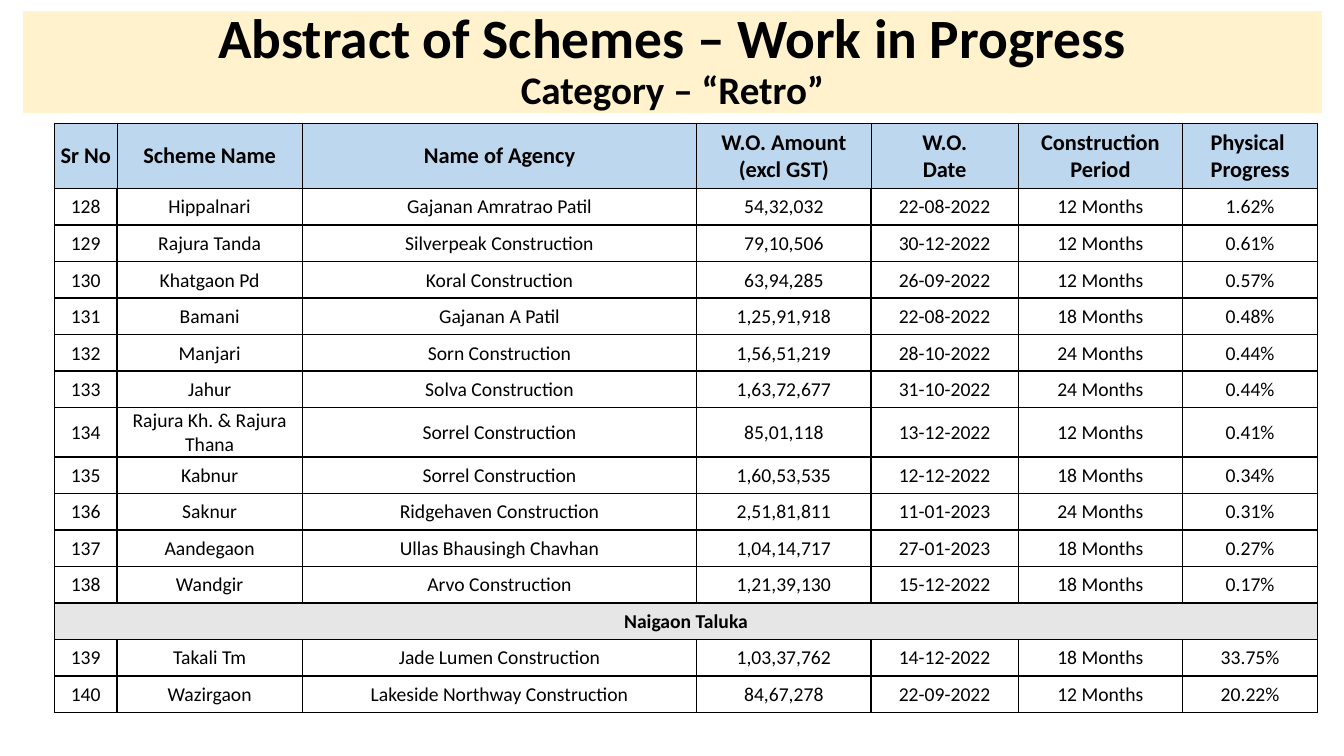
from pptx import Presentation
from pptx.dml.color import RGBColor
from pptx.enum.text import MSO_ANCHOR, MSO_AUTO_SIZE, PP_ALIGN
from pptx.oxml import parse_xml
from pptx.oxml.ns import nsdecls
from pptx.util import Inches, Pt

MIDDLE, CENTER = MSO_ANCHOR.MIDDLE, PP_ALIGN.CENTER
FONT = "Calibri"
LEFT, HEAD_TOP, HEAD_H = 0.54, 1.22, 0.65
BODY_H, TALL_H = 5.2, 0.49
WIDTHS = [0.62, 1.84, 3.91, 1.73, 1.46, 1.63, 1.34]

HEAD = ["Sr No", "Scheme Name", "Name of Agency", "W.O. Amount\v(excl GST)",
        "W.O.\vDate", "Construction\vPeriod", "Physical \nProgress"]
TALL = "Rajura Kh. & Rajura Thana"
TALUKA = "Naigaon Taluka"
SCHEMES = [
    ["128", "Hippalnari", "Gajanan Amratrao Patil", "54,32,032", "22-08-2022", "12 Months", "1.62%"],
    ["129", "Rajura Tanda", "Silverpeak Construction", "79,10,506", "30-12-2022", "12 Months", "0.61%"],
    ["130", "Khatgaon Pd", "Koral Construction", "63,94,285", "26-09-2022", "12 Months", "0.57%"],
    ["131", "Bamani", "Gajanan A Patil", "1,25,91,918", "22-08-2022", "18 Months", "0.48%"],
    ["132", "Manjari", "Sorn Construction", "1,56,51,219", "28-10-2022", "24 Months", "0.44%"],
    ["133", "Jahur", "Solva Construction", "1,63,72,677", "31-10-2022", "24 Months", "0.44%"],
    ["134", TALL, "Sorrel Construction", "85,01,118", "13-12-2022", "12 Months", "0.41%"],
    ["135", "Kabnur", "Sorrel Construction", "1,60,53,535", "12-12-2022", "18 Months", "0.34%"],
    ["136", "Saknur", "Ridgehaven Construction", "2,51,81,811", "11-01-2023", "24 Months", "0.31%"],
    ["137", "Aandegaon", "Ullas Bhausingh Chavhan", "1,04,14,717", "27-01-2023", "18 Months", "0.27%"],
    ["138", "Wandgir", "Arvo Construction", "1,21,39,130", "15-12-2022", "18 Months", "0.17%"],
    [TALUKA],
    ["139", "Takali Tm", "Jade Lumen Construction", "1,03,37,762", "14-12-2022", "18 Months", "33.75%"],
    ["140", "Wazirgaon", "Lakeside Northway Construction", "84,67,278", "22-09-2022", "12 Months", "20.22%"],
]


def color(code):
    return RGBColor.from_string(code)


def draw_table(slide, top, rows, heights, size, edges):
    """Add a ruled table; edges holds the left, right, top and bottom line widths."""
    frame = slide.shapes.add_table(len(rows), len(WIDTHS), Inches(LEFT), Inches(top),
                                   Inches(sum(WIDTHS)), Inches(sum(heights)))
    table = frame.table
    table.first_row = table.horz_banding = False
    for col, width in zip(table.columns, WIDTHS):
        col.width = Inches(width)
    for row, height, texts in zip(table.rows, heights, rows):
        row.height = Inches(height)
        for cell, text in zip(row.cells, texts + [""] * (len(WIDTHS) - len(texts))):
            cell.text = text
            cell.vertical_anchor = MIDDLE
            cell.margin_left = cell.margin_right = cell.margin_top = Inches(0.01)
            cell.margin_bottom = 0
            for side, width in zip("LRTB", edges):
                cell._tc.get_or_add_tcPr().append(parse_xml(
                    f'<a:ln{side} {nsdecls("a")} w="{Pt(width)}"><a:solidFill>'
                    f'<a:srgbClr val="000000"/></a:solidFill></a:ln{side}>'))
            cell.fill.background()
            for para in cell.text_frame.paragraphs:
                para.alignment = CENTER
                para.font.name, para.font.size = FONT, Pt(size)
                para.font.color.rgb = color("000000")
    return table


deck = Presentation()
deck.slide_width, deck.slide_height = Inches(13.33), Inches(7.5)
slide = deck.slides.add_slide(deck.slide_layouts[5])

title = slide.shapes.title
title.left, title.top = Inches(0.23), Inches(0.11)
title.width, title.height = Inches(12.88), Inches(1.01)
title.fill.solid()
title.fill.fore_color.rgb = color("FFF2CC")
frame = title.text_frame
frame.auto_size = MSO_AUTO_SIZE.NONE
frame.word_wrap = True
frame.vertical_anchor = MIDDLE
para = frame.paragraphs[0]
para.alignment, para.line_spacing = CENTER, 0.9
para.font.name, para.font.bold = FONT, True
para.font.color.rgb = color("000000")
main = para.add_run()
main.text, main.font.size = "Abstract of Schemes – Work in Progress", Pt(39.6)
para.add_line_break()
sub = para.add_run()
sub.text, sub.font.size = "Category – “Retro”", Pt(27.9)

head = draw_table(slide, HEAD_TOP, [HEAD], [HEAD_H], 16, (0.5, 0.5, 0.5, 1))
for cell in head.iter_cells():
    cell.fill.solid()
    cell.fill.fore_color.rgb = color("BDD7EE")
    for para in cell.text_frame.paragraphs:
        para.font.bold = True

row_h = (BODY_H - TALL_H) / (len(SCHEMES) - 1)
heights = [TALL_H if TALL in row else row_h for row in SCHEMES]
body = draw_table(slide, HEAD_TOP + HEAD_H, SCHEMES, heights, 14, (1, 1, 1, 1))
band = SCHEMES.index([TALUKA])
cell = body.cell(band, 0)
cell.merge(body.cell(band, len(WIDTHS) - 1))
cell.fill.solid()
cell.fill.fore_color.rgb = color("E7E6E6")
cell.text_frame.paragraphs[0].font.bold = True

deck.save("out.pptx")
